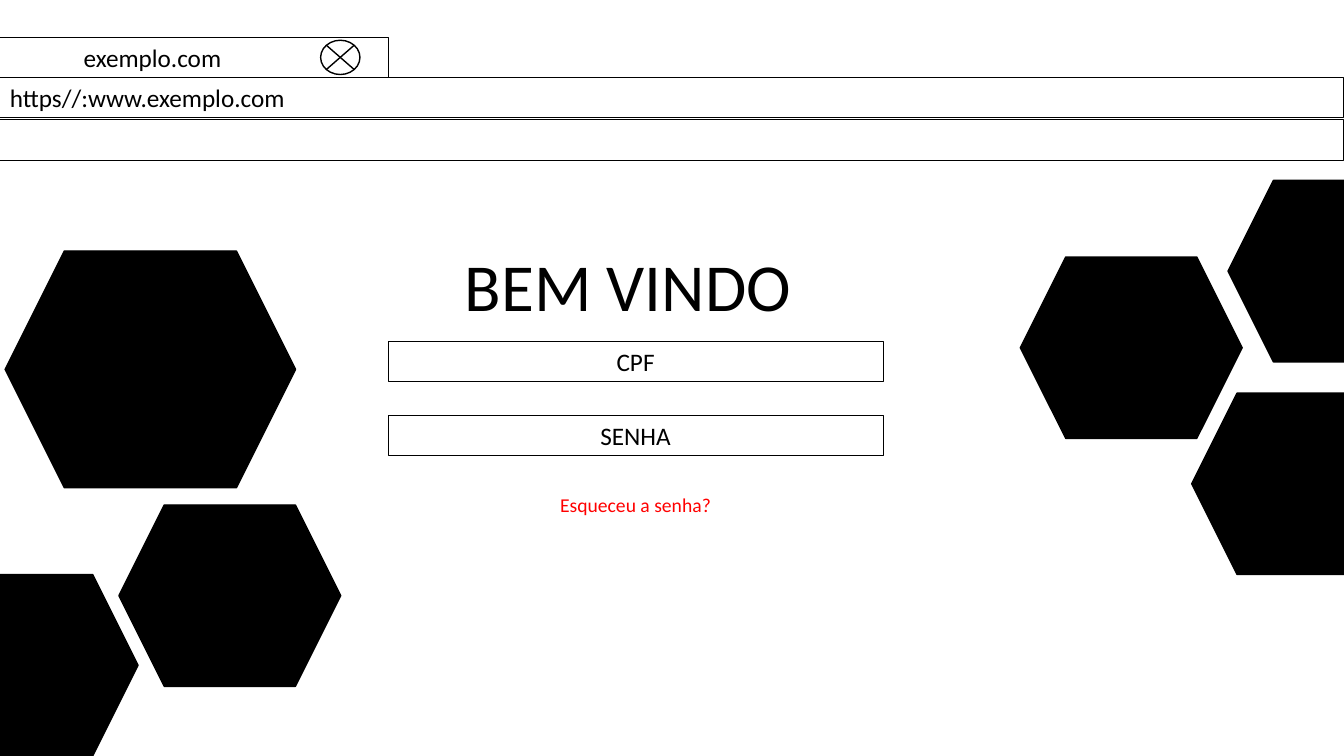
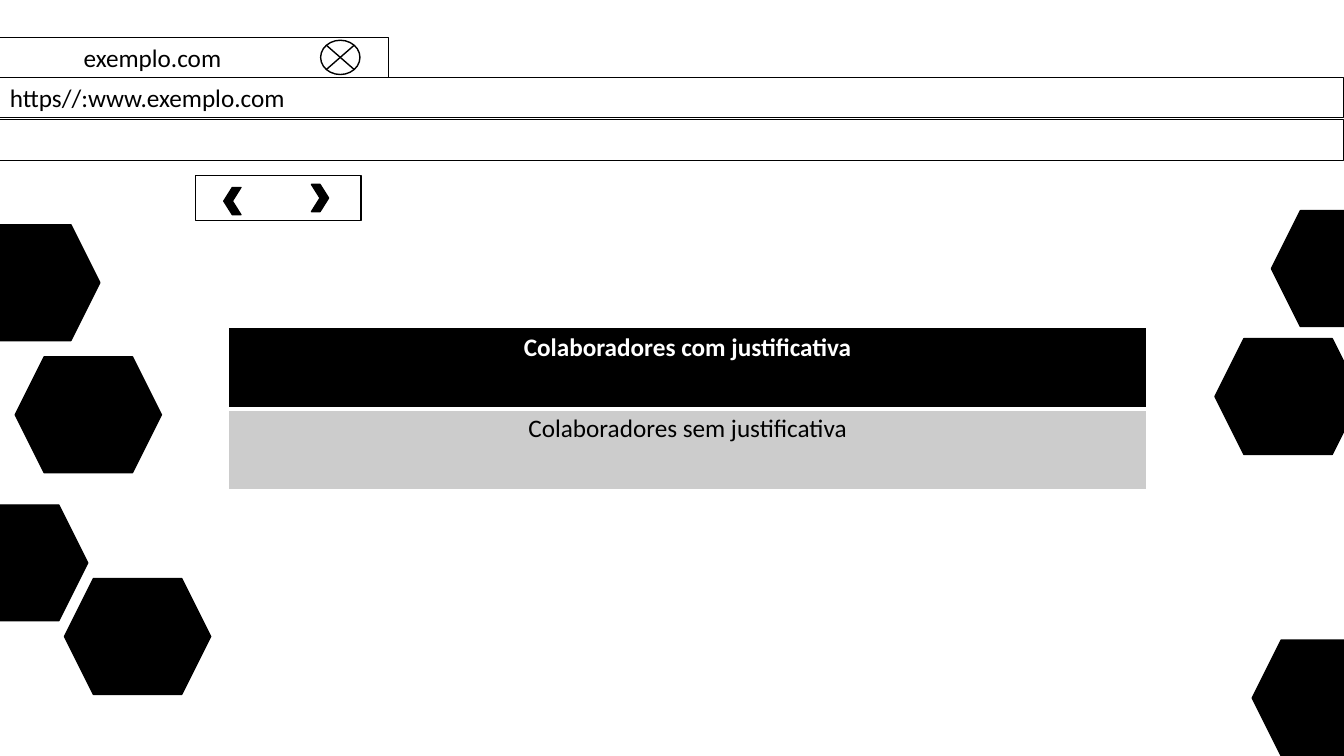
from dataclasses import dataclass
from lxml.etree import SubElement
from pptx import Presentation
from pptx.dml.color import RGBColor
from pptx.enum.shapes import MSO_SHAPE as KIND
from pptx.enum.text import MSO_ANCHOR, PP_ALIGN
from pptx.oxml.ns import qn
from pptx.util import Inches, Pt


@dataclass(frozen=True)
class Theme:
    """Colours, font, type sizes and line widths of the deck."""
    ink: str = "000000"
    paper: str = "FFFFFF"
    alert: str = "FF0000"
    soft: str = "CCCCCC"
    font: str = "Calibri"
    head: int = 48
    body: int = 18
    note: int = 14
    thin: float = 0.75
    rule: float = 1
    thick: float = 3


@dataclass(frozen=True)
class Box:
    """A region in inches, split on a grid of 100 columns and 100 rows."""
    x: float
    y: float
    w: float
    h: float

    def area(self, col, row, cols, rows):
        """Return the region that starts at a cell and spans cols by rows."""
        return Box(self.x + self.w * col / 100, self.y + self.h * row / 100,
                   self.w * cols / 100, self.h * rows / 100)

    def emu(self):
        """Return left, top, width and height as lengths."""
        return [Inches(n) for n in (self.x, self.y, self.w, self.h)]


THEME = Theme()
PAGE = Box(0, 0, 13.33, 7.5)
LEFT, MID = PP_ALIGN.LEFT, PP_ALIGN.CENTER


def apply(item, form):
    """Set each attribute named in a dict of format values."""
    for name, value in form.items():
        setattr(item, name, value)


def write(frame, text, size=THEME.body, color=THEME.ink, align=MID, bold=False):
    """Put one formatted line in a text frame."""
    frame.text = text
    line = frame.paragraphs[0]
    line.alignment = align
    font = line.runs[0].font
    apply(font, {"name": THEME.font, "size": Pt(size), "bold": bold})
    font.color.rgb = RGBColor.from_string(color)


def draw(slide, kind, box, fill=None, width=THEME.rule):
    """Add a preset shape with an ink outline and an optional fill."""
    shape = slide.shapes.add_shape(kind, *box.emu())
    shape.shadow.inherit = False
    if fill:
        shape.fill.solid()
        shape.fill.fore_color.rgb = RGBColor.from_string(fill)
    else:
        shape.fill.background()
    shape.line.color.rgb = RGBColor.from_string(THEME.ink)
    shape.line.width = Pt(width)
    return shape


def field(slide, box, text="", align=MID, inset=0.1):
    """Add an outlined bar, with text if given."""
    shape = draw(slide, KIND.RECTANGLE, box, width=THEME.thin)
    if text:
        write(shape.text_frame, text, align=align)
        shape.text_frame.margin_left = Inches(inset)


def browser(slide, box):
    """Draw the tab with its close mark, the address bar and the tool bar."""
    tall = 32.8
    tab = box.area(0, 0, 28.88, tall)
    field(slide, box.area(0, tall, 100, tall), "https//:www.exemplo.com", LEFT)
    field(slide, box.area(0, 100 - tall, 100, tall))
    field(slide, tab, "exemplo.com", LEFT, 0.83)
    draw(slide, KIND.FLOWCHART_SUMMING_JUNCTION, tab.area(82.6, 7.5, 10.13, 85))


def combs(slide, box, size, spots):
    """Draw equal hexagons at the given cells."""
    for spot in spots:
        draw(slide, KIND.HEXAGON, box.area(*spot, *size), THEME.ink)


def login(slide, box):
    """Place the welcome title, the two fields and the password hint."""
    title = slide.shapes.title
    apply(title, dict(zip(("left", "top", "width", "height"),
                          box.area(0, 0, 100, 32.38).emu())))
    write(title.text_frame, "BEM VINDO", THEME.head)
    apply(title.text_frame, {"vertical_anchor": MSO_ANCHOR.MIDDLE,
                             "margin_right": Inches(0.25)})
    for row, text in ((36.3, "CPF"), (62.28, "SENHA")):
        field(slide, box.area(0, row, 100, 14.23), text)
    hint = slide.shapes.add_textbox(*box.area(0, 87.9, 100, 12.1).emu())
    hint.text_frame.word_wrap = True
    write(hint.text_frame, "Esqueceu a senha?", THEME.note, THEME.alert)


def arrows(slide, box):
    """Draw the framed back and forward chevrons."""
    draw(slide, KIND.RECTANGLE, box)
    for col, row, turn in ((70.12, 20, 0), (17.07, 26.67, 180)):
        mark = draw(slide, KIND.CHEVRON, box.area(col, row, 10.37, 60), THEME.ink)
        mark.rotation = turn


def edge(cell, widths):
    """Give a cell paper-coloured borders, with widths by side."""
    props = cell._tc.get_or_add_tcPr()
    for side, width in widths.items():
        line = SubElement(props, qn("a:ln" + side), w=str(Pt(width)))
        fill = SubElement(line, qn("a:solidFill"))
        SubElement(fill, qn("a:srgbClr"), val=THEME.paper)


def staff(slide, box):
    """Add the table of staff with and without a reason."""
    rows = (("Colaboradores com justificativa", THEME.ink, THEME.paper, True),
            ("Colaboradores sem justificativa", THEME.soft, THEME.ink, False))
    table = slide.shapes.add_table(len(rows), 1, *box.emu()).table
    for i, (text, fill, color, bold) in enumerate(rows):
        cell = table.cell(i, 0)
        edge(cell, {"L": THEME.rule, "R": THEME.rule,
                    "T": THEME.thick if i else THEME.rule,
                    "B": THEME.rule if i else THEME.thick})
        cell.fill.solid()
        cell.fill.fore_color.rgb = RGBColor.from_string(fill)
        write(cell.text_frame, text, color=color, bold=bold)


def start(deck, layout):
    """Add a slide that shows the browser bars."""
    slide = deck.slides.add_slide(deck.slide_layouts.get_by_name(layout))
    browser(slide, PAGE.area(0, 4.93, 100, 16.27))
    return slide


def welcome(deck):
    """Build the login slide."""
    slide = start(deck, "Title Only")
    login(slide, PAGE.area(28.88, 31.6, 36.83, 37.47))
    combs(slide, PAGE, (21.61, 31.33), [(0.38, 33.2)])
    combs(slide, PAGE, (16.5, 24), [(-6.23, 76), (8.85, 66.8), (91.37, 23.87),
                                    (88.67, 52), (75.92, 34)])


def report(deck):
    """Build the staff slide."""
    slide = start(deck, "Blank")
    combs(slide, PAGE, (10.88, 15.33), [
        (-3.45, 29.73), (1.13, 47.2), (-4.35, 66.8), (4.8, 76.53),
        (94.6, 27.87), (90.4, 44.8), (93.17, 84.67)])
    staff(slide, PAGE.area(17.03, 43.33, 68.27, 21.47))
    arrows(slide, PAGE.area(14.55, 23.2, 12.3, 6))


deck = Presentation()
apply(deck, {"slide_width": Inches(PAGE.w), "slide_height": Inches(PAGE.h)})
welcome(deck)
report(deck)
deck.save("out.pptx")
